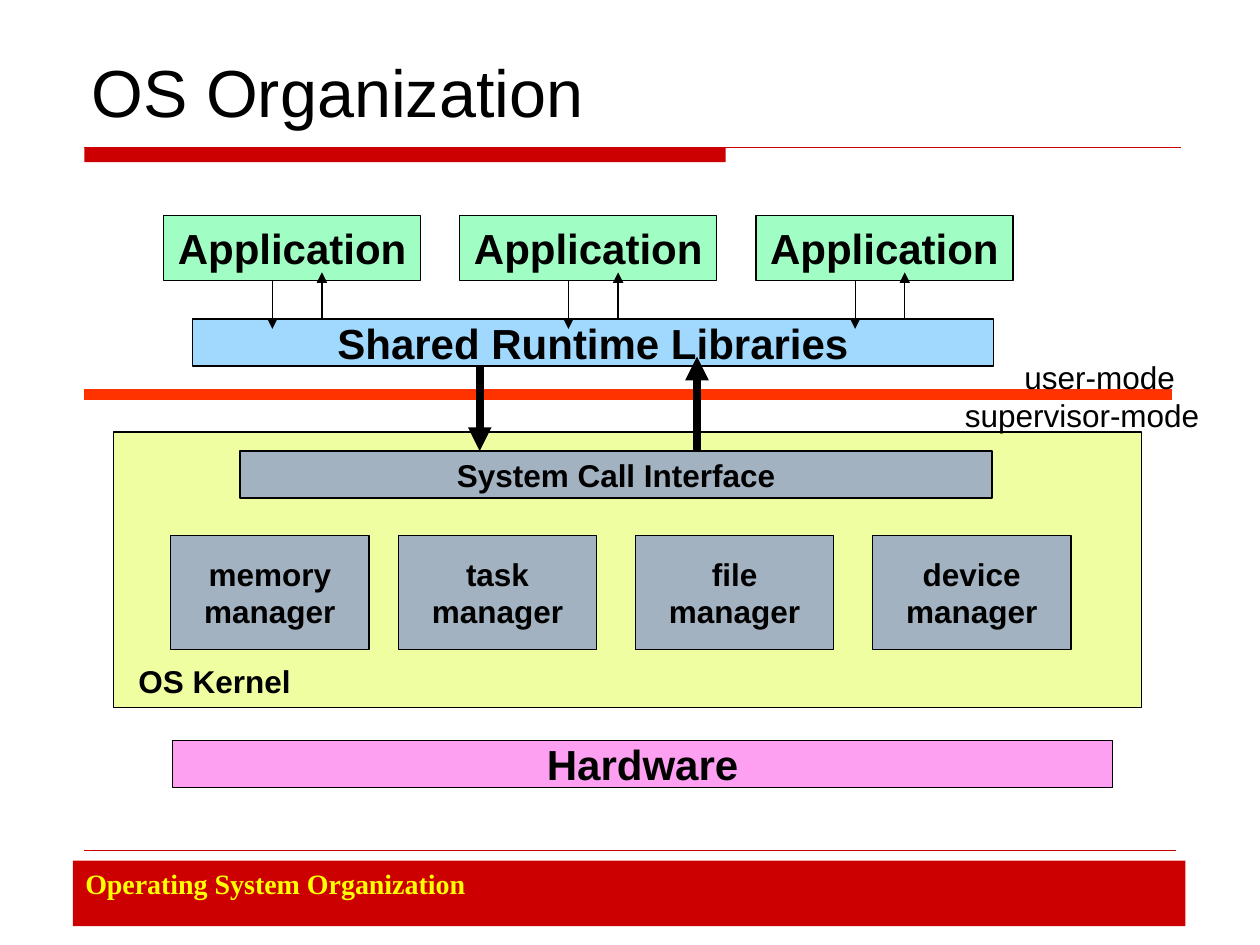
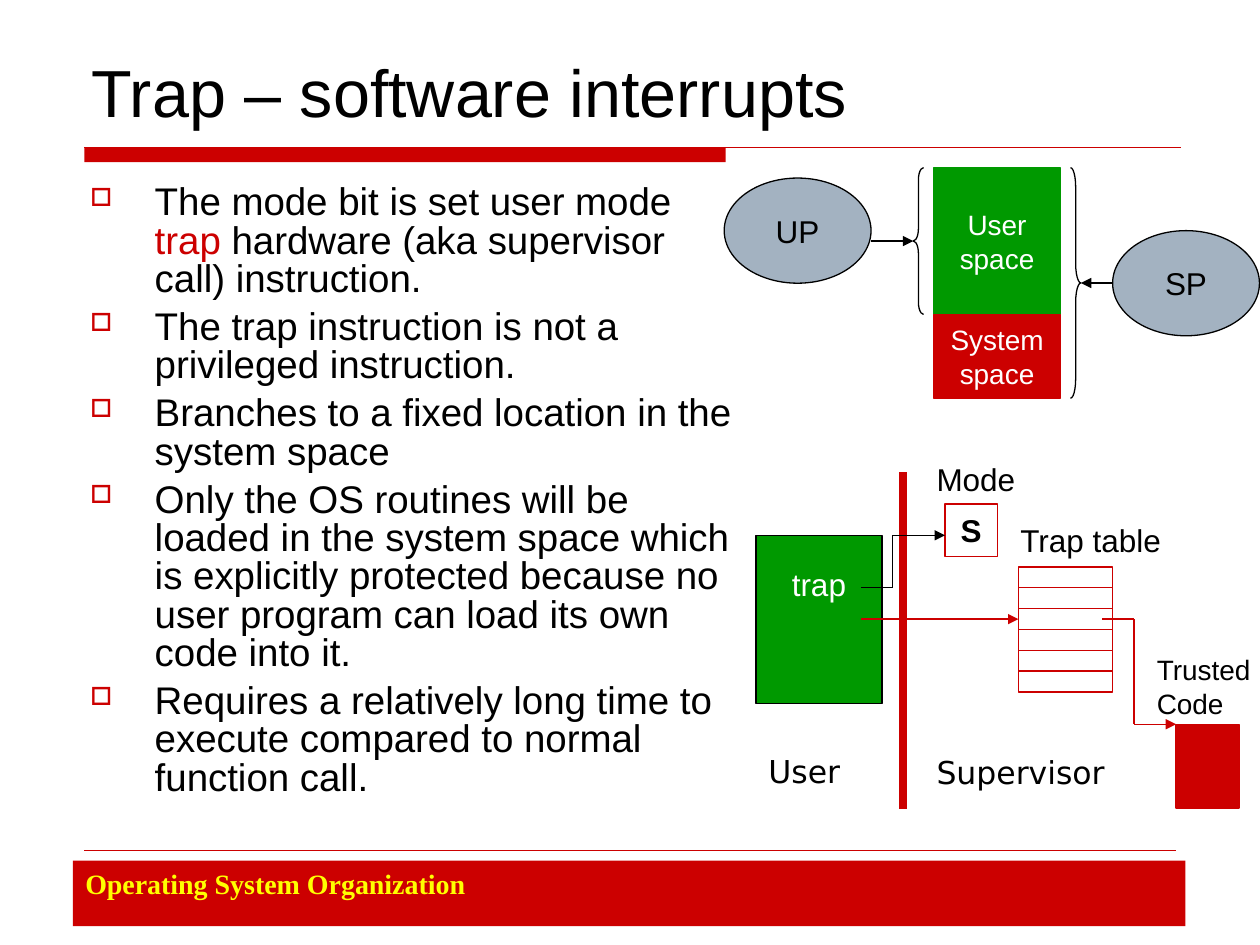
from dataclasses import dataclass
from itertools import pairwise

from lxml import etree
from pptx import Presentation
from pptx.dml.color import RGBColor
from pptx.enum.shapes import MSO_CONNECTOR, MSO_SHAPE
from pptx.enum.text import MSO_ANCHOR, PP_ALIGN
from pptx.oxml.ns import qn
from pptx.util import Cm, Pt

RECT, OVAL = MSO_SHAPE.RECTANGLE, MSO_SHAPE.OVAL
LEFT_BRACE, RIGHT_BRACE = MSO_SHAPE.LEFT_BRACE, MSO_SHAPE.RIGHT_BRACE
STRAIGHT = MSO_CONNECTOR.STRAIGHT
TOP, MIDDLE, BOTTOM = MSO_ANCHOR.TOP, MSO_ANCHOR.MIDDLE, MSO_ANCHOR.BOTTOM
LEFT, CENTER = PP_ALIGN.LEFT, PP_ALIGN.CENTER


@dataclass(frozen=True)
class Theme:
    """Colours, fonts and type sizes of the deck."""
    black: str = "000000"
    white: str = "FFFFFF"
    red: str = "CC0000"
    orange: str = "FF3300"
    yellow: str = "FFFF00"
    green: str = "009900"
    mint: str = "A0FEC4"
    sky: str = "A0D8FE"
    lime: str = "EEFEA0"
    pink: str = "FEA0F1"
    steel: str = "A3B2C1"
    sans: str = "Arial"
    serif: str = "Times New Roman"
    caption: str = "DejaVu Sans"
    title: int = 38
    heading: int = 24
    body: int = 22
    label: int = 18
    small: int = 16
    thin: float = 0.75


@dataclass(frozen=True)
class Box:
    """A region in centimetres."""
    x: float
    y: float
    w: float
    h: float

    def inner(self, dx, dy, w, h):
        """Return a box placed relative to this one."""
        return Box(self.x + dx, self.y + dy, w, h)

    def point(self, dx, dy):
        """Return a point placed relative to this box."""
        return self.x + dx, self.y + dy

    def emu(self):
        """Return left, top, width and height as lengths."""
        return Cm(self.x), Cm(self.y), Cm(self.w), Cm(self.h)


T = Theme()
BULLETS = [
    [("The mode bit is set user mode ", T.black), ("trap", T.red),
     (" hardware (aka supervisor call) instruction.", T.black)],
    [("The trap instruction is not a privileged instruction.", T.black)],
    [("Branches to a fixed location in the system space", T.black)],
    [("Only the OS routines will be loaded in the system space which is "
      "explicitly protected because no user program can load its own code "
      "into it.", T.black)],
    [("Requires a relatively long time to execute compared to normal "
      "function call.", T.black)],
]


def rgb(colour):
    """Turn a hex string into a colour."""
    return RGBColor.from_string(colour)


def add_run(p, text, size, colour, bold=False, font=T.sans):
    """Append one formatted run to a paragraph."""
    r = p.add_run()
    r.text = text
    r.font.size, r.font.bold, r.font.name = Pt(size), bold, font
    r.font.color.rgb = rgb(colour)


def write(tf, text, size, colour=T.black, bold=False, font=T.sans,
          align=LEFT, anchor=TOP):
    """Fill a text frame with one paragraph for each line of text."""
    tf.word_wrap, tf.vertical_anchor = True, anchor
    for i, line in enumerate(text.split("\n")):
        p = tf.add_paragraph() if i else tf.paragraphs[0]
        p.alignment = align
        add_run(p, line, size, colour, bold, font)


def add_label(s, box, text, size=T.label, **style):
    """Add a text box."""
    tf = s.shapes.add_textbox(*box.emu()).text_frame
    write(tf, text, size, **style)


def add_node(s, box, fill=None, line=T.black, text="", size=T.label,
             kind=RECT, align=CENTER, anchor=MIDDLE, **style):
    """Add a preset shape with optional fill, outline and text."""
    sp = s.shapes.add_shape(kind, *box.emu())
    sp.shadow.inherit = False
    if fill:
        sp.fill.solid()
        sp.fill.fore_color.rgb = rgb(fill)
    else:
        sp.fill.background()
    if line:
        sp.line.color.rgb, sp.line.width = rgb(line), Pt(T.thin)
    else:
        sp.line.fill.background()
    if text:
        write(sp.text_frame, text, size, align=align, anchor=anchor, **style)
    return sp


def add_line(s, start, end, colour=T.black, width=T.thin, arrow=True):
    """Add a straight connector, with an arrowhead at its end by default."""
    c = s.shapes.add_connector(STRAIGHT, *map(Cm, start + end))
    c.line.color.rgb, c.line.width = rgb(colour), Pt(width)
    sp_pr = c._element.spPr
    if arrow:
        etree.SubElement(sp_pr.find(qn("a:ln")), qn("a:tailEnd"), type="triangle")
    etree.SubElement(sp_pr, qn("a:effectLst"))
    return c


def add_route(s, points, colour):
    """Add a chain of lines that ends in an arrowhead."""
    for start, end in pairwise(points):
        add_line(s, start, end, colour, arrow=end == points[-1])


def add_brace(s, box, kind):
    """Add a curly brace whose curves follow its height."""
    sp = add_node(s, box, kind=kind)
    sp.adjustments[0] = box.h / box.w / 12


def draw_frame(s, box, title):
    """Draw the title, its rule and the footer of a slide."""
    add_node(s, box.inner(1.7, 2.97, 12.93, 0.3), T.red, None)
    add_line(s, box.point(1.7, 2.97), box.point(23.8, 2.97), T.red, arrow=False)
    add_line(s, box.point(1.7, 17.15), box.point(23.7, 17.15), T.red, 0.25, False)
    add_label(s, box.inner(1.6, 0.86, 22.23, 1.9), title, T.title, anchor=BOTTOM)
    add_node(s, box.inner(1.47, 17.35, 22.43, 1.32), T.red, None,
             "Operating System Organization", T.small, colour=T.yellow,
             bold=True, font=T.serif, align=LEFT, anchor=TOP)


def draw_kernel(s, box):
    """Draw the kernel panel with its call interface and managers."""
    add_node(s, box, T.lime)
    add_node(s, box.inner(2.55, 0.38, 15.16, 0.95), T.steel,
             text="System Call Interface", bold=True)
    managers = {"memory": 1.15, "task": 5.74, "file": 10.52, "device": 15.3}
    for name, dx in managers.items():
        add_node(s, box.inner(dx, 2.09, 4, 2.29), T.steel,
                 text=f"{name}\nmanager", bold=True)
    add_label(s, box.inner(0.25, 4.52, 3.9, 1.02), "OS Kernel", bold=True)


def draw_user_programs(s, box):
    """Draw the applications, the libraries and the calls between them."""
    pitch, app_h, lib_y = 5.97, 1.32, 2.09
    add_node(s, box.inner(0.58, lib_y, 16.15, 0.95), T.sky,
             text="Shared Runtime Libraries", size=T.heading, bold=True)
    for i, call_dx in enumerate((2.19, 2.19, 2)):
        app = box.inner(i * pitch, 0, 5.18, app_h)
        add_node(s, app, T.mint, text="Application", size=T.heading, bold=True)
        add_line(s, app.point(call_dx, app_h), app.point(call_dx, lib_y + 0.2))
        add_line(s, app.point(call_dx + 1, lib_y),
                 app.point(call_dx + 1, app_h - 0.17))


def draw_mode_boundary(s, box):
    """Draw the line between the modes and the calls that cross it."""
    add_line(s, box.point(0, 0.86), box.point(box.w, 0.86), T.orange, 6, False)
    add_label(s, box.inner(18.7, 0, 4, 1.02), "user-mode")
    add_label(s, box.inner(17.5, 0.76, 5.4, 1.02), "supervisor-mode")
    for dx, start, end in ((7.97, 0.3, 2), (12.35, 2, 0.1)):
        add_line(s, box.point(dx, start), box.point(dx, end), width=4.5)


def draw_bullets(s, box):
    """Draw the bulleted text."""
    tf = s.shapes.add_textbox(*box.emu()).text_frame
    tf.word_wrap = True
    for i, runs in enumerate(BULLETS):
        p = tf.add_paragraph() if i else tf.paragraphs[0]
        p.line_spacing = 0.83
        p.space_before = Pt(5.5 if i else 0)
        p_pr = p._p.get_or_add_pPr()
        p_pr.set("marL", str(Cm(1.3)))
        p_pr.set("indent", str(-Cm(1.3)))
        clr = etree.SubElement(p_pr, qn("a:buClr"))
        etree.SubElement(clr, qn("a:srgbClr"), val=T.red)
        etree.SubElement(p_pr, qn("a:buSzPct"), val="65000")
        etree.SubElement(p_pr, qn("a:buChar"), char="□")
        for text, colour in runs:
            add_run(p, text, T.body, colour)


def draw_address_space(s, box):
    """Draw the memory spaces and the processes that reach them."""
    user_h, process = 2.96, (2.96, 2.12)
    add_node(s, box.inner(4.23, 0, 2.54, user_h), T.green, T.green,
             "User\nspace", T.small, colour=T.white)
    add_node(s, box.inner(4.23, user_h, 2.54, box.h - user_h), T.red, T.red,
             "System\nspace", T.small, colour=T.white)
    add_node(s, box.inner(0, 0.21, *process), T.steel, text="UP", kind=OVAL)
    add_node(s, box.inner(7.83, 1.27, *process), T.steel, text="SP", kind=OVAL)
    add_brace(s, box.inner(3.81, 0, 0.21, user_h), LEFT_BRACE)
    add_brace(s, box.inner(6.98, 0, 0.21, box.h), RIGHT_BRACE)
    add_line(s, box.point(2.96, user_h / 2), box.point(3.81, user_h / 2))
    add_line(s, box.point(7.83, box.h / 2), box.point(7.19, box.h / 2))


def draw_trap_flow(s, box):
    """Draw the path of a trap from user code to trusted code."""
    program = add_node(s, box.inner(0, 1.65, 2.54, 3.39), T.green,
                       text="trap", colour=T.white, anchor=TOP)
    program.text_frame.margin_top = Cm(0.6)
    add_line(s, box.point(2.97, 0.38), box.point(2.97, box.h), T.red, 4.5, False)
    add_node(s, box.inner(3.81, 1.02, 1.06, 1.06), line=T.red, text="S", bold=True)
    add_route(s, [box.point(2.12, 2.71), box.point(2.75, 2.71),
                  box.point(2.75, 1.65), box.point(3.81, 1.65)], T.black)

    row_h, table_y = 0.42, 2.29
    rows = [add_node(s, box.inner(5.29, table_y + i * row_h, 1.9, row_h), line=T.red)
            for i in range(6)]
    entry_y = table_y + 2.5 * row_h
    lookup = add_line(s, box.point(2.12, entry_y), box.point(5.29, entry_y), T.red)
    lookup.end_connect(rows[2], 1)
    add_route(s, [box.point(6.98, entry_y), box.point(7.62, entry_y),
                  box.point(7.62, 5.46), box.point(8.47, 5.46)], T.red)
    add_node(s, box.inner(8.47, 5.46, 1.27, 1.69), T.red, T.red)

    add_label(s, box.inner(7.83, 3.89, 2.5, 1.63), "Trusted\nCode", T.small)
    add_label(s, box.inner(3.39, 0, 2.34, 1.02), "Mode")
    add_label(s, box.inner(5.08, 1.23, 4, 1.02), "Trap table")
    add_label(s, box.inner(0, 5.89, 2.34, 1.02), "User", font=T.caption)
    add_label(s, box.inner(3.39, 5.92, 4.65, 1.02), "Supervisor", font=T.caption)


def organization_slide(s, page):
    """Build the slide on the layers of the system."""
    draw_frame(s, page, "OS Organization")
    add_node(s, page.inner(3.48, 14.93, 18.95, 0.95), T.pink, text="Hardware",
             size=T.heading, bold=True)
    draw_kernel(s, page.inner(2.29, 8.71, 20.73, 5.56))
    draw_user_programs(s, page.inner(3.3, 4.34, 17.12, 3.04))
    draw_mode_boundary(s, page.inner(1.7, 7.09, 21.92, 2))


def trap_slide(s, page):
    """Build the slide on software interrupts."""
    draw_frame(s, page, "Trap – software interrupts")
    draw_bullets(s, page.inner(1.57, 3.61, 13.5, 13.13))
    draw_trap_flow(s, page.inner(15.24, 9.14, 9.9, 7.16))
    draw_address_space(s, page.inner(14.6, 3.38, 10.79, 4.65))


def main():
    """Build and save the deck."""
    prs = Presentation()
    page = Box(0, 0, 25.4, 19.05)
    prs.slide_width, prs.slide_height = Cm(page.w), Cm(page.h)
    for build in (organization_slide, trap_slide):
        build(prs.slides.add_slide(prs.slide_layouts[6]), page)
    prs.save("out.pptx")


if __name__ == "__main__":
    main()
